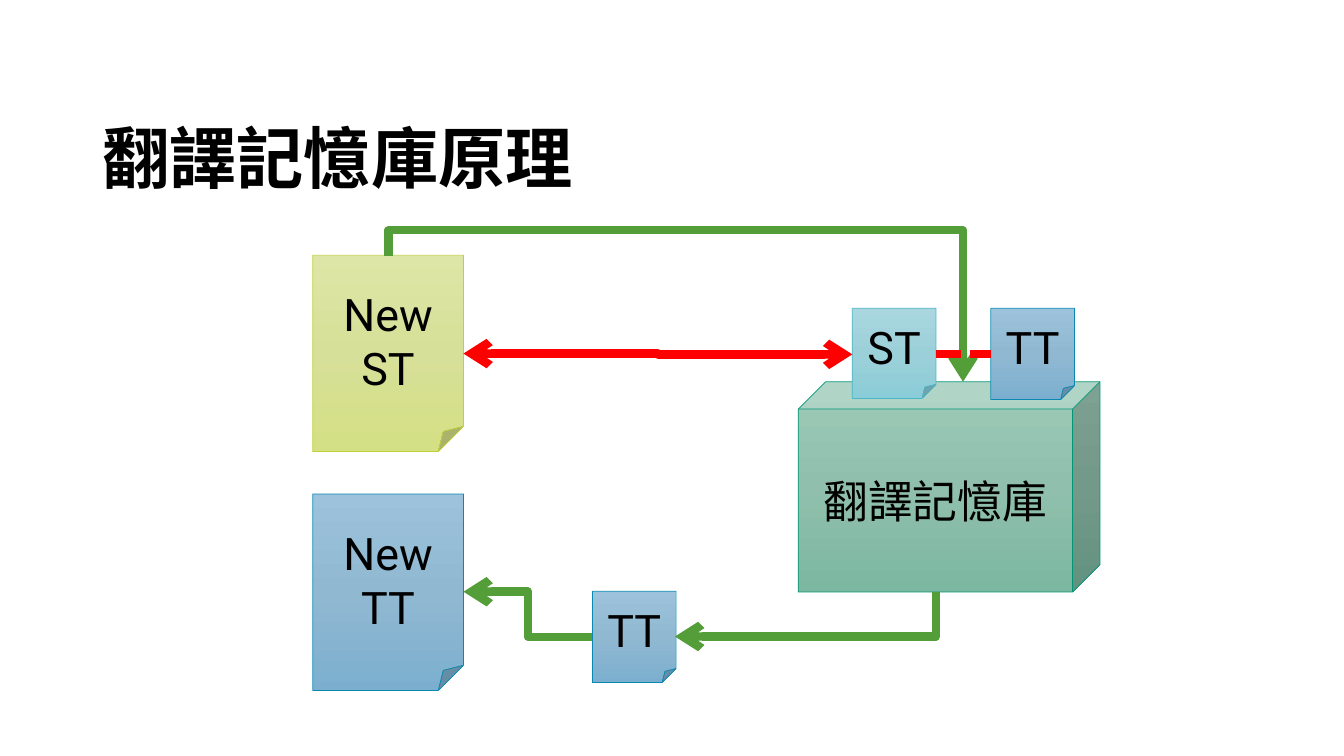
"""Builds a slide that shows how a translation memory works."""
from copy import deepcopy

from lxml import etree
from pptx import Presentation
from pptx.dml.color import RGBColor
from pptx.enum.dml import MSO_LINE
from pptx.enum.shapes import MSO_CONNECTOR, MSO_SHAPE
from pptx.enum.text import MSO_ANCHOR, PP_ALIGN
from pptx.oxml.ns import qn
from pptx.util import Cm, Pt

PAGE, CUBE = MSO_SHAPE.FOLDED_CORNER, MSO_SHAPE.CUBE
ELBOW, DASH = MSO_CONNECTOR.ELBOW, MSO_LINE.SQUARE_DOT
MIDDLE, BOTTOM, CENTER = MSO_ANCHOR.MIDDLE, MSO_ANCHOR.BOTTOM, PP_ALIGN.CENTER

BLACK = RGBColor(0x00, 0x00, 0x00)
GREEN = RGBColor(0x54, 0x9E, 0x39)
RED = RGBColor(0xFF, 0x00, 0x00)
LIME = (RGBColor(0xC0, 0xCF, 0x3A), RGBColor(0xDD, 0xE6, 0xA6),
        RGBColor(0xD7, 0xE0, 0x98), RGBColor(0xD4, 0xE0, 0x84))
BLUE = (RGBColor(0x09, 0x89, 0xB1), RGBColor(0x9D, 0xC3, 0xDC),
        RGBColor(0x90, 0xB8, 0xD1), RGBColor(0x7C, 0xAF, 0xCF))
AQUA = (RGBColor(0x4A, 0xB5, 0xC4), RGBColor(0xAA, 0xD7, 0xDF),
        RGBColor(0x9C, 0xD0, 0xD9), RGBColor(0x8A, 0xCC, 0xD7))
TEAL = (RGBColor(0x02, 0x96, 0x76), RGBColor(0x9D, 0xCA, 0xB8),
        RGBColor(0x90, 0xC0, 0xAD), RGBColor(0x7C, 0xB7, 0xA1))


def write(frame, text, size, anchor):
    """Put one paragraph into a text frame and return it."""
    frame.word_wrap = True
    frame.vertical_anchor = anchor
    para = frame.paragraphs[0]
    para.text = text
    para.font.name = "Roboto"
    para.font.size = Pt(size)
    para.font.color.rgb = BLACK
    return para


deck = Presentation()
deck.slide_width, deck.slide_height = Cm(33.87), Cm(19.05)
slide = deck.slides.add_slide(deck.slide_layouts[6])

title = slide.shapes.add_textbox(Cm(2.33), Cm(1.9), Cm(29.2), Cm(3.22))
head = write(title.text_frame, "翻譯記憶庫原理", 48, BOTTOM)
head.font.bold = True
head.line_spacing = 0.9

blocks = [
    ("New ST", PAGE, LIME, 7.88, 6.43, 3.8, 4.95),
    ("New TT", PAGE, BLUE, 7.88, 12.45, 3.8, 4.95),
    ("TT", PAGE, BLUE, 14.93, 14.9, 2.11, 2.3),
    ("翻譯記憶庫", CUBE, TEAL, 20.12, 9.62, 7.6, 5.3),
    ("ST", PAGE, AQUA, 21.48, 7.77, 2.11, 2.27),
    ("TT", PAGE, BLUE, 24.97, 7.77, 2.11, 2.3),
]
for text, kind, tones, *box in blocks:
    block = slide.shapes.add_shape(kind, *map(Cm, box))
    block.shadow.inherit = False
    if kind == CUBE:
        block.adjustments[0] = 0.13
    block.fill.gradient()
    block.fill.gradient_angle = 270
    stops = block.fill._fill._gradFill.find(qn("a:gsLst"))
    stops.append(deepcopy(stops[-1]))
    for stop, tone, place in zip(block.fill.gradient_stops, tones[1:], (0, 0.5, 1)):
        stop.color.rgb = tone
        stop.position = place
    block.line.color.rgb = tones[0]
    block.line.width = Pt(0.5)
    write(block.text_frame, text, 32, MIDDLE).alignment = CENTER

arrows = [
    (GREEN, "bentConnector2", 90, None, ["tailEnd"], 19.74, 12.19, 20.86, 18.77),
    (GREEN, "bentConnector3", 270, -20, ["tailEnd"], 18.62, 0.79, 15.44, 15.27),
    (GREEN, "bentConnector3", 180, 50, ["tailEnd"], 11.68, 14.91, 14.93, 16.05),
    (RED, "bentConnector3", 0, 50, ["headEnd", "tailEnd"], 11.68, 8.91, 21.48, 8.93),
    (RED, "bentConnector3", 0, 50, [], 23.59, 8.92, 24.97, 8.92),
]
for tone, bend, turn, knee, tips, *ends in arrows:
    arrow = slide.shapes.add_connector(ELBOW, *map(Cm, ends))
    arrow.line.color.rgb = tone
    arrow.line.width = Pt(6)
    if not tips:
        arrow.line.dash_style = DASH
    props = arrow._element.spPr
    if turn:
        props.find(qn("a:xfrm")).set("rot", str(turn * 60000))
    shape = props.find(qn("a:prstGeom"))
    shape.set("prst", bend)
    if knee is not None:
        guide = etree.SubElement(shape.find(qn("a:avLst")), qn("a:gd"))
        guide.set("name", "adj1")
        guide.set("fmla", f"val {knee * 1000}")
    for tip in tips:
        etree.SubElement(props.find(qn("a:ln")), qn(f"a:{tip}")).set("type", "arrow")
    etree.SubElement(props, qn("a:effectLst"))

deck.save("out.pptx")
